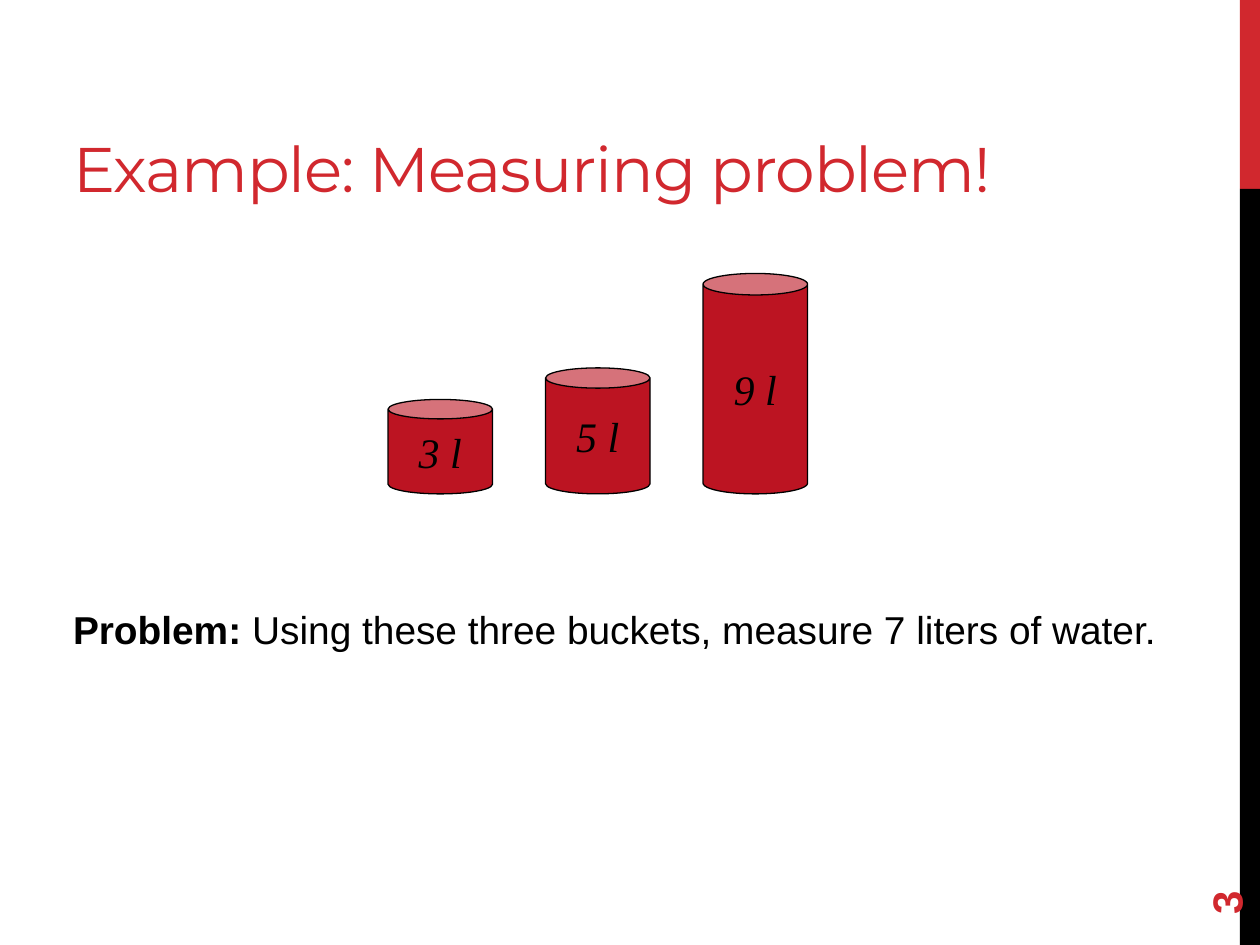
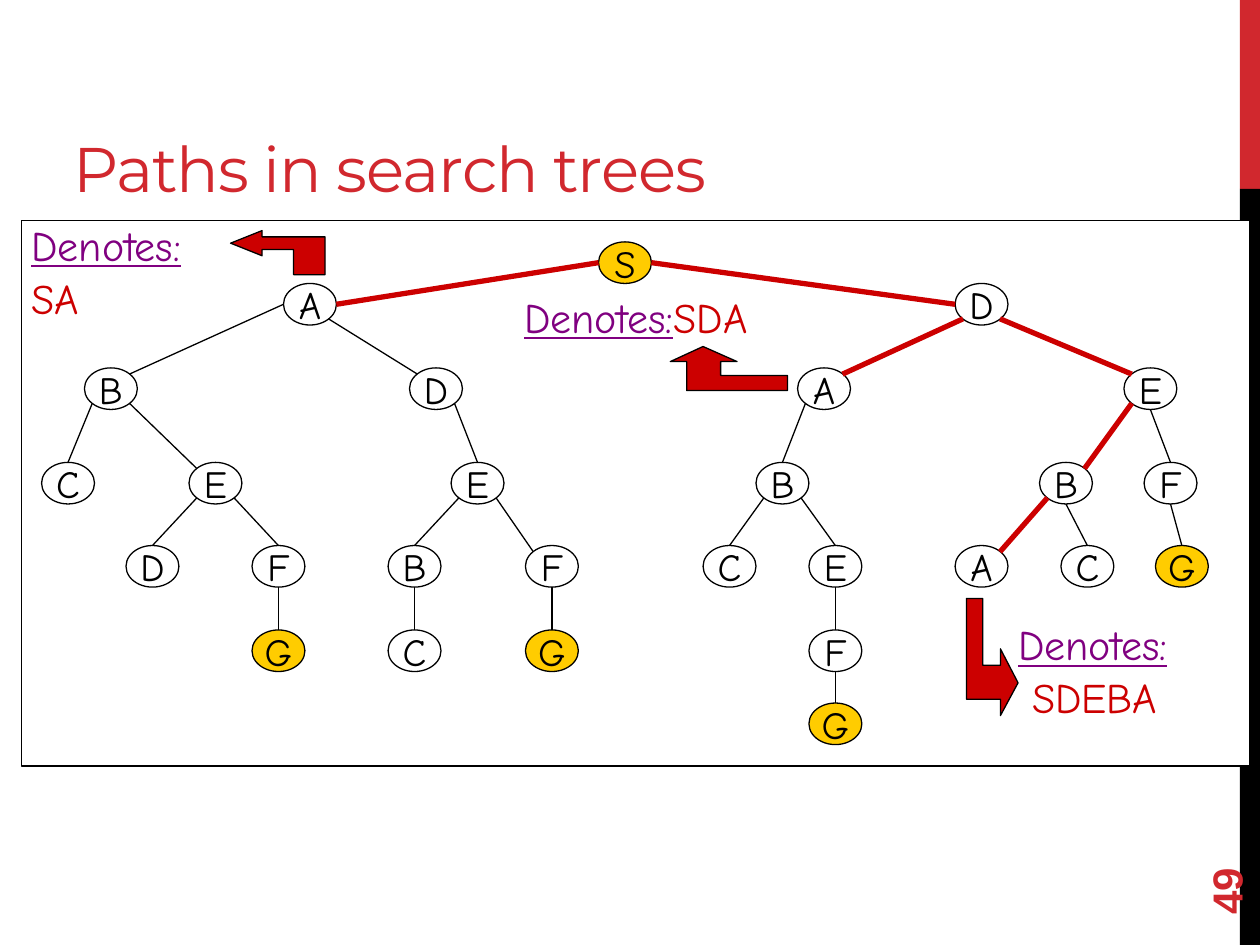
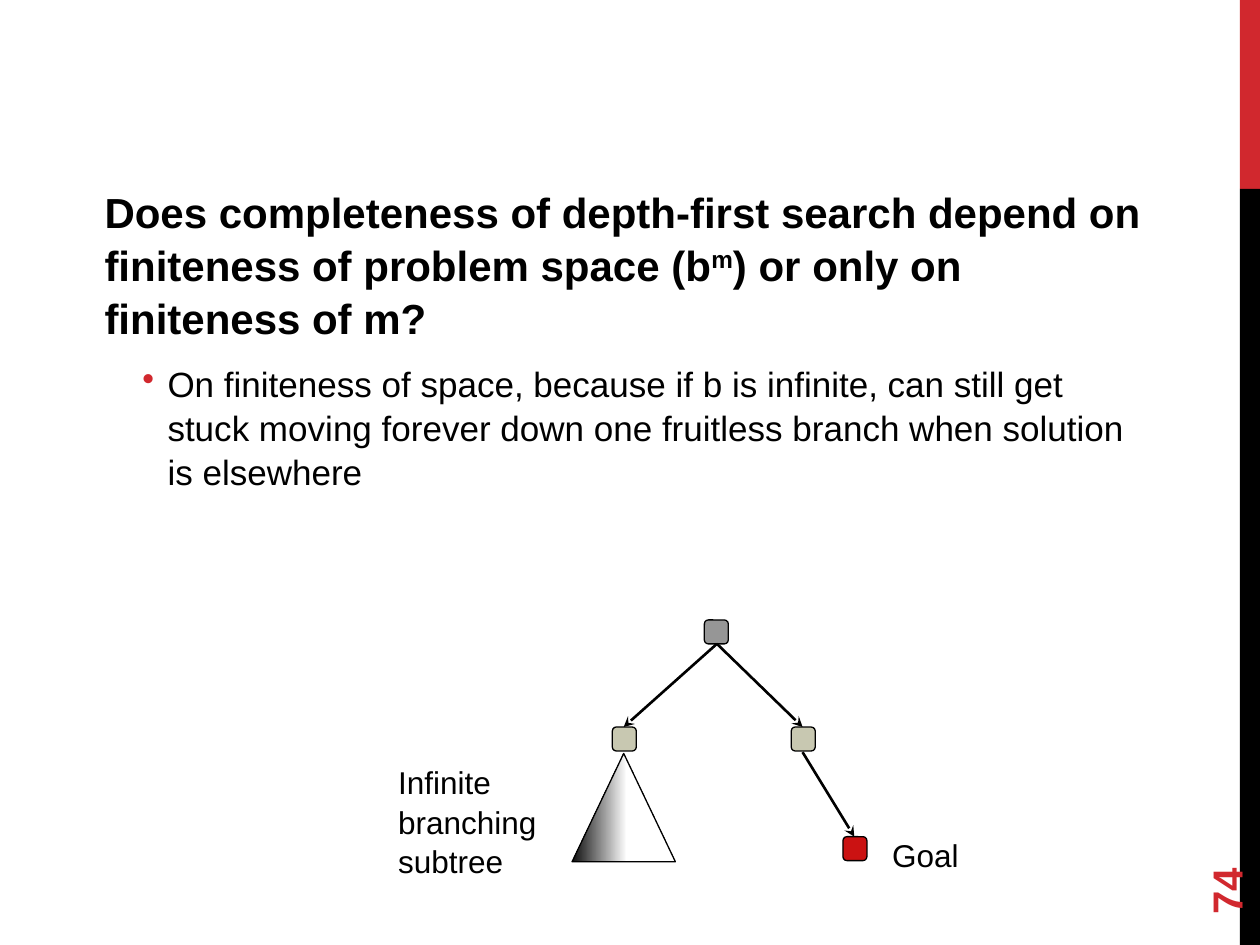
from dataclasses import dataclass

from lxml.etree import SubElement
from pptx import Presentation
from pptx.dml.color import RGBColor
from pptx.enum.shapes import MSO_CONNECTOR as Connector, MSO_SHAPE as Shape
from pptx.enum.text import MSO_ANCHOR as Anchor, PP_ALIGN as Align
from pptx.oxml.ns import qn
from pptx.util import Pt

PX = 9144  # EMU per px, 100 px to the inch


@dataclass(frozen=True)
class Theme:
    """Colours, fonts and type sizes."""
    accent: str = "D1282E"
    ink: str = "000000"
    paper: str = "FFFFFF"
    bucket: str = "BC1422"
    gold: str = "FFCC00"
    route: str = "CC0000"
    caption: str = "800080"
    root: str = "969696"
    child: str = "C8C8B1"
    goal: str = "CB1212"
    shade: str = "0D0D0D"
    title_font: str = "Montserrat"
    body_font: str = "Arial"
    bucket_font: str = "Times New Roman"
    tree_font: str = "Comic Neue"
    title_size: float = 36
    large: float = 24
    problem_size: float = 22.2
    node_size: float = 22
    body_size: float = 20
    label_size: float = 18
    thin: float = 0.75
    arrow: float = 1.5
    thick: float = 3
    leading: float = 1.05


class Deck:
    """Holds the theme and the current page and draws on it."""

    def __init__(self, theme):
        self.theme = theme
        self.file = Presentation()
        self.file.slide_width, self.file.slide_height = 1000 * PX, 750 * PX
        self.page = None

    # Pages
    def new_page(self, number, title=None, title_width=883):
        theme = self.theme
        self.page = self.file.slides.add_slide(self.file.slide_layouts[6])
        self.shape(Shape.RECTANGLE, 984, 0, 16, 150, theme.accent, outline=None)
        self.shape(Shape.RECTANGLE, 984, 150, 16, 600, theme.ink, outline=None)
        if title:
            frame = self.box(50, 17, title_width, 150, anchor=Anchor.BOTTOM)
            para = self.para(frame, [title], theme.title_font, theme.title_size,
                             theme.accent, leading=1)
            para.runs[0]._r.get_or_add_rPr().set("spc", "-60")
        frame = self.box(900, 644, 144, 40, anchor=Anchor.MIDDLE, inset=10, turn=270)
        self.para(frame, [str(number)], theme.body_font, theme.large,
                  theme.accent, bold=True)

    # Text
    def box(self, left, top, width, height, anchor=Anchor.TOP, inset=8, turn=0):
        box = self.page.shapes.add_textbox(left * PX, top * PX, width * PX, height * PX)
        box.rotation = turn
        frame = box.text_frame
        frame.word_wrap = True
        frame.vertical_anchor = anchor
        frame.margin_left = frame.margin_right = inset * PX
        frame.margin_top = frame.margin_bottom = 4 * PX
        return frame

    def para(self, frame, spans, font, size, color=None, bold=None, italic=None,
             align=None, before=0, after=0, leading=None, bullet=False):
        """Fill the first free paragraph; a span is a text or (text, run style)."""
        para = frame.paragraphs[0]
        if para.runs:
            para = frame.add_paragraph()
        para.alignment = align
        para.line_spacing = leading or self.theme.leading
        para.space_before, para.space_after = Pt(before), Pt(after)
        if bullet:
            self.bullet(para)
        para.font.name, para.font.size = font, Pt(size)
        para.font.bold, para.font.italic = bold, italic
        para.font.color.rgb = RGBColor.from_string(color or self.theme.ink)
        for item in spans:
            text, style = (item, {}) if isinstance(item, str) else item
            span = para.add_run()
            span.text = text
            if "color" in style:
                span.font.color.rgb = RGBColor.from_string(style["color"])
            if "underline" in style:
                span.font.underline = style["underline"]
            if "bold" in style:
                span.font.bold = style["bold"]
            if style.get("raised"):
                span._r.get_or_add_rPr().set("baseline", "30000")
        return para

    def bullet(self, para):
        props = para._p.get_or_add_pPr()
        props.set("marL", str(50 * PX))
        props.set("indent", str(-20 * PX))
        color = SubElement(props, qn("a:buClr"))
        SubElement(color, qn("a:srgbClr")).set("val", self.theme.accent)
        SubElement(props, qn("a:buChar")).set("char", "•")

    # Shapes
    def paint(self, shape, fill, outline):
        shape.shadow.inherit = False
        if fill:
            shape.fill.solid()
            shape.fill.fore_color.rgb = RGBColor.from_string(fill)
        if outline:
            shape.line.color.rgb = RGBColor.from_string(outline)
            shape.line.width = Pt(self.theme.thin)
        else:
            shape.line.fill.background()

    def shape(self, kind, left, top, width, height, fill=None, outline=Theme.ink,
              adjust=None):
        shape = self.page.shapes.add_shape(
            kind, left * PX, top * PX, width * PX, height * PX)
        self.paint(shape, fill, outline)
        if adjust is not None:
            shape.adjustments[0] = adjust
        return shape

    def label(self, shape, text, font, size, italic=None):
        frame = shape.text_frame
        frame.word_wrap = False
        frame.vertical_anchor = Anchor.MIDDLE
        self.para(frame, [text], font, size, italic=italic, align=Align.CENTER, leading=1)

    def outline(self, points):
        builder = self.page.shapes.build_freeform(*points[0], scale=PX)
        builder.add_line_segments(points[1:], close=True)
        self.paint(builder.convert_to_shape(), self.theme.route, self.theme.ink)

    def line(self, start, end, color, width, arrow=False):
        ends = [round(length * PX) for length in (*start, *end)]
        line = self.page.shapes.add_connector(Connector.STRAIGHT, *ends)
        line.line.color.rgb = RGBColor.from_string(color)
        line.line.width = Pt(width)
        if arrow:
            SubElement(line.line._get_or_add_ln(), qn("a:tailEnd")).set("type", "stealth")
        SubElement(line._element.spPr, qn("a:effectLst"))


# Search tree: each node is named by its path from the root, and its level is the
# length of that name. Value: left edge, leaving site on parent, arriving site.
TREE = {
    "S": (475, None, None),
    "SA": (225, "w", "e"), "SD": (758, "e", "w"),
    "SAB": (67, "w", "ne"), "SAD": (325, "se", "nw"),
    "SDE": (892, "se", "nw"), "SDA": (633, "sw", "ne"),
    "SABC": (33, "sw", "n"), "SABE": (150, "se", "nw"), "SADE": (358, "se", "n"),
    "SDAB": (600, "sw", "n"), "SDEB": (825, "sw", "ne"), "SDEF": (908, "s", "n"),
    "SABED": (100, "sw", "n"), "SABEF": (200, "se", "n"),
    "SADEB": (308, "sw", "n"), "SADEF": (417, "se", "nw"),
    "SDABC": (558, "sw", "n"), "SDABE": (642, "se", "n"),
    "SDEBA": (758, "sw", "ne"), "SDEBC": (842, "s", "n"), "SDEFG": (917, "s", "n"),
    "SABEFG": (200, "s", "n"), "SADEBC": (308, "s", "n"), "SADEFG": (417, "s", "n"),
    "SDABEF": (642, "s", "n"), "SDABEFG": (642, "s", "n"),
}
LEVEL_TOPS = (192, 225, 292, 367, 433, 500, 558)
NODE_WIDTH, NODE_HEIGHT = 42, 33
NEAR, FAR = 0.15, 0.85
SITES = {"n": (0.5, 0), "ne": (FAR, NEAR), "e": (1, 0.5), "se": (FAR, FAR),
         "s": (0.5, 1), "sw": (NEAR, FAR), "w": (0, 0.5), "nw": (NEAR, NEAR)}
ROUTES = ("SA", "SDA", "SDEBA")
BENT_ARROWS = (
    [(183, 193), (208, 203), (208, 198), (233, 198), (233, 218), (258, 218),
     (258, 188), (208, 188), (208, 183)],
    [(558, 275), (585, 287), (572, 287), (572, 298), (625, 298), (625, 310),
     (545, 310), (545, 287), (532, 287)],
    [(808, 542), (794, 515), (794, 528), (780, 528), (780, 475), (767, 475),
     (767, 555), (794, 555), (794, 568)],
)


def node_site(name, site):
    across, down = SITES[site]
    return (TREE[name][0] + across * NODE_WIDTH,
            LEVEL_TOPS[len(name) - 1] + down * NODE_HEIGHT)


def measuring_page(deck):
    theme = deck.theme
    deck.new_page(3, "Example: Measuring problem!")
    frame = deck.box(50, 475, 894, 75)
    deck.para(frame, [("Problem: ", {"bold": True}),
                      "Using these three buckets, measure 7 liters of water."],
              theme.body_font, theme.problem_size, before=4, after=6)
    # Buckets stand on one floor
    floor, step = 392, 125
    buckets = (("3 l", 75, 0.206), ("5 l", 100, 0.194), ("9 l", 175, 0.206))
    for index, (text, height, lid) in enumerate(buckets):
        bucket = deck.shape(Shape.CAN, 308 + index * step, floor - height, 83, height,
                            theme.bucket, adjust=lid)
        deck.label(bucket, text, theme.bucket_font, theme.large, italic=True)


def paths_page(deck):
    theme = deck.theme
    deck.new_page(49, "Paths in search trees", title_width=633)
    deck.shape(Shape.RECTANGLE, 17, 175, 975, 433, theme.paper)
    # Nodes
    for name, (left, _, _) in TREE.items():
        fill = theme.gold if name[-1] in "SG" else theme.paper
        node = deck.shape(Shape.OVAL, left, LEVEL_TOPS[len(name) - 1],
                          NODE_WIDTH, NODE_HEIGHT, fill)
        deck.label(node, name[-1], theme.tree_font, theme.node_size)
    # Branches, with the denoted routes marked
    for name, (_, leaving, arriving) in TREE.items():
        if not leaving:
            continue
        marked = any(route.startswith(name) for route in ROUTES)
        color, width = (theme.route, theme.thick) if marked else (theme.ink, theme.thin)
        deck.line(node_site(name[:-1], leaving), node_site(name, arriving), color, width)
    # Captions and their arrows
    heading = ("Denotes:", {"color": theme.caption, "underline": True})
    captions = (
        ((17, 168, 157, 90), ([heading], ["SA"])),
        ((408, 225, 233, 50), ([heading, "SDA"],)),
        ((800, 485, 166, 90), ([heading], [" SDEBA"])),
    )
    for (place, paras), arrow in zip(captions, BENT_ARROWS):
        frame = deck.box(*place)
        for spans in paras:
            deck.para(frame, spans, theme.tree_font, theme.large, theme.route)
        deck.outline(arrow)


def completeness_page(deck):
    theme = deck.theme
    deck.new_page(74)
    frame = deck.box(75, 142, 850, 378)
    deck.para(frame, ["Does completeness of depth-first search depend on "
                      "finiteness of problem space (b", ("m", {"raised": True}),
                      ") or only on finiteness of m?"],
              theme.body_font, theme.large, bold=True, before=4, after=6)
    deck.para(frame, ["On finiteness of space, because if b is infinite, can still get "
                      "stuck moving forever down one fruitless branch when solution "
                      "is elsewhere"],
              theme.body_font, theme.body_size, before=4, after=6, bullet=True)
    # Small tree
    for left, top, fill in ((628, 577, theme.child), (559, 492, theme.root),
                            (486, 577, theme.child), (669, 664, theme.goal)):
        deck.shape(Shape.ROUNDED_RECTANGLE, left, top, 19, 19, fill, adjust=0.167)
    root_foot = (569, 511)
    for start, end in ((root_foot, (637, 577)), (root_foot, (495, 577)),
                       ((637, 597), (678, 664))):
        deck.line(start, end, theme.ink, theme.arrow, arrow=True)
    # Infinite subtree fades from dark to white
    subtree = deck.shape(Shape.ISOSCELES_TRIANGLE, 454, 598, 82, 86)
    subtree.fill.gradient()
    subtree.fill.gradient_angle = 0
    stops = subtree.fill.gradient_stops
    for stop, position, color in zip(stops, (0, 0.53), (theme.shade, theme.paper)):
        stop.position = position
        stop.color.rgb = RGBColor.from_string(color)
    # Labels
    for place, text in (((700, 658, 108, 40), "Goal"),
                        ((308, 600, 142, 101), "Infinite branching subtree")):
        deck.para(deck.box(*place), [text], theme.body_font, theme.label_size)


def main():
    deck = Deck(Theme())
    measuring_page(deck)
    paths_page(deck)
    completeness_page(deck)
    deck.file.save("out.pptx")


if __name__ == "__main__":
    main()
